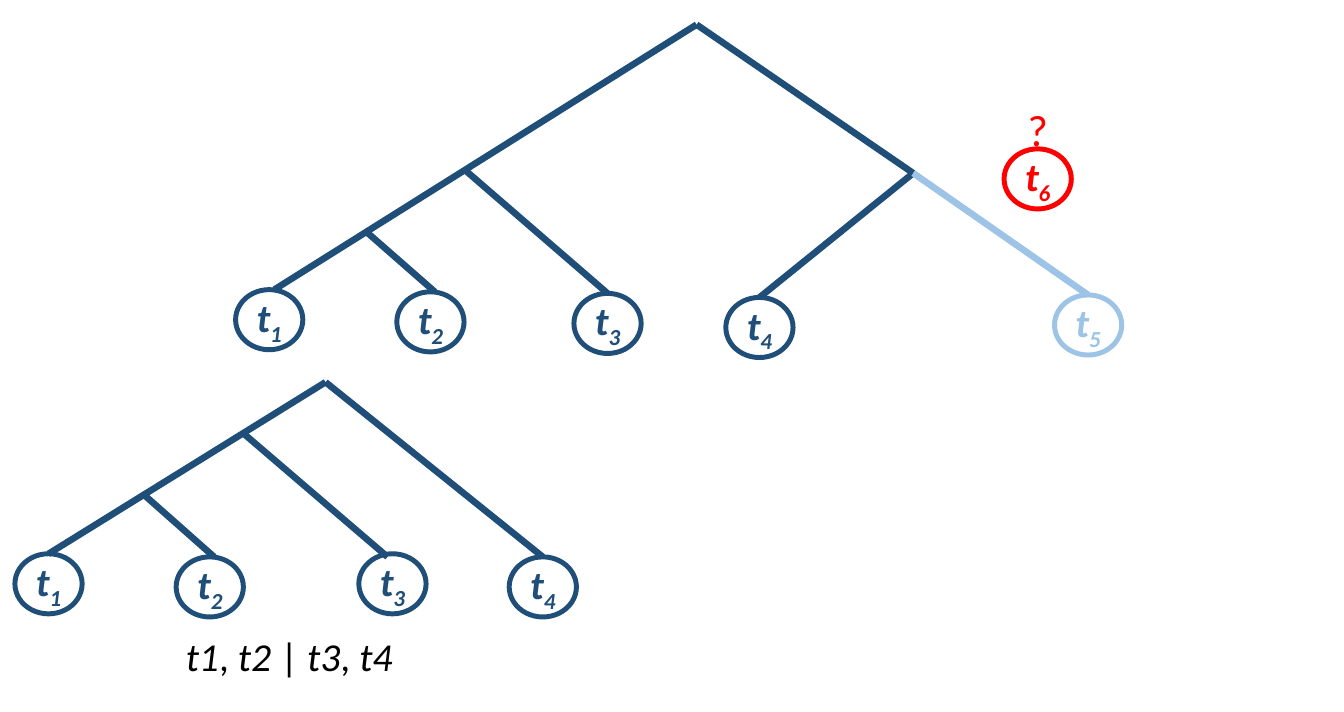
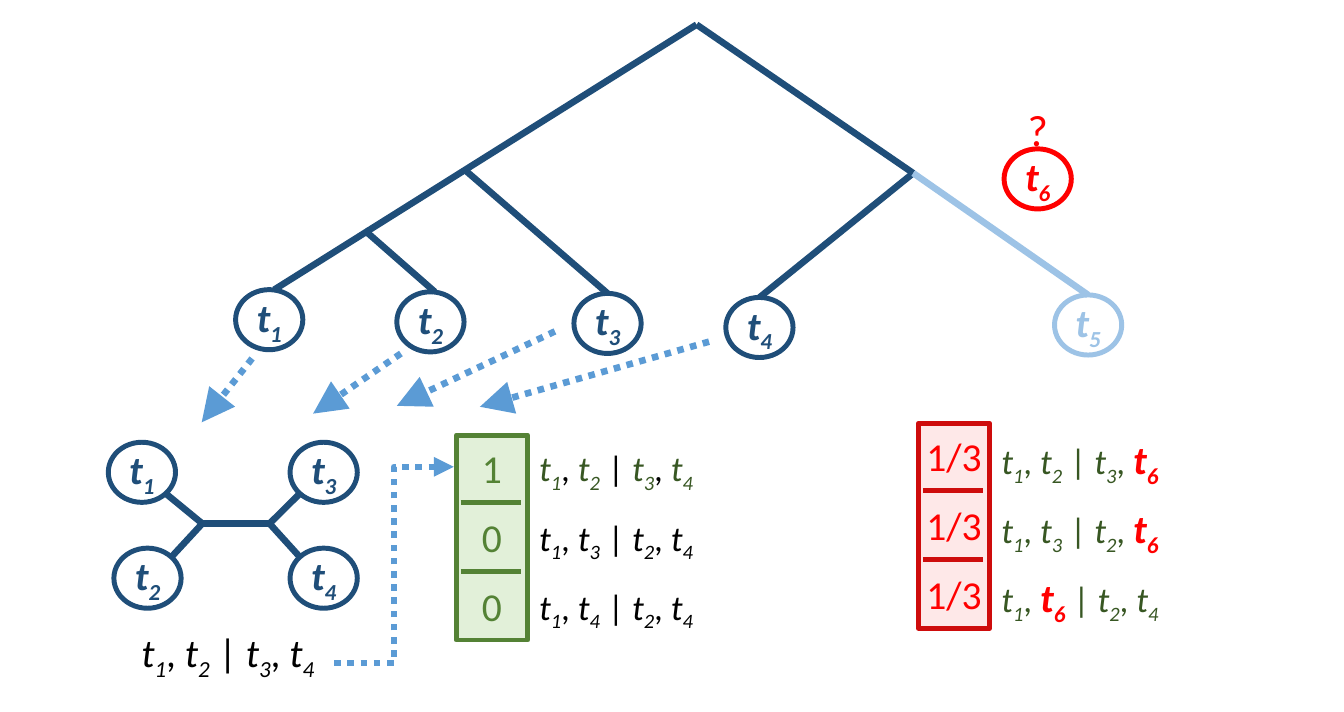
"""Build two slides that place a new taxon on a tree by comparing quartets."""
from itertools import groupby

from lxml.etree import SubElement
from pptx import Presentation
from pptx.dml.color import RGBColor
from pptx.enum.dml import MSO_LINE
from pptx.enum.shapes import MSO_CONNECTOR, MSO_SHAPE
from pptx.enum.text import MSO_ANCHOR, MSO_AUTO_SIZE, PP_ALIGN
from pptx.oxml.ns import qn
from pptx.util import Cm, Pt

COLORS = {
    "tree": "1F4E79",
    "faded": "9DC3E6",
    "query": "FF0000",
    "arrow": "5B9BD5",
    "text": "000000",
    "taxon": "385723",
    "known": "548235",
    "known_fill": "E2F0D9",
    "unknown": "CE0C0C",
    "unknown_fill": "FEE8E8",
}
FONT = "Calibri"


def draw_line(slide, start, end, color, width=6, kind=MSO_CONNECTOR.STRAIGHT, head=None):
    """Draw a connector; a head size makes it a dotted arrow."""
    connector = slide.shapes.add_connector(kind, *map(Cm, (*start, *end)))
    connector.line.color.rgb = RGBColor.from_string(COLORS[color])
    connector.line.width = Pt(width)
    properties = connector._element.spPr
    if head:
        connector.line.dash_style = MSO_LINE.ROUND_DOT
        outline = properties.find(qn("a:ln"))
        SubElement(outline, qn("a:tailEnd"), type="triangle", w=head, len=head)
    SubElement(properties, qn("a:effectLst"))
    return connector


def write(shape, text, size, taxon, mark=None, bold=False, subscript=True, align=PP_ALIGN.LEFT):
    """Write taxa in italics with lowered numbers, the query taxon in bold."""
    paragraph = shape.text_frame.paragraphs[0]
    paragraph.alignment = align
    has_taxa = "t" in text
    pieces = ["".join(group) for _, group in
              groupby(text, lambda sign: has_taxa and (sign == "t", sign.isdigit()))]
    for position, piece in enumerate(pieces):
        in_taxon = has_taxa and (piece == "t" or piece.isdigit())
        is_query = has_taxa and "6" in pieces[position:position + 2]
        run = paragraph.add_run()
        run.text = piece
        run.font.name = FONT
        run.font.size = Pt(36 if is_query else size)
        run.font.bold = bold or is_query
        run.font.italic = in_taxon
        color = "query" if is_query else taxon if in_taxon else mark or taxon
        run.font.color.rgb = RGBColor.from_string(COLORS[color])
        if subscript and in_taxon and piece.isdigit():
            run._r.get_or_add_rPr().set("baseline", "-25000")


presentation = Presentation()
presentation.slide_width = Cm(43.18)
presentation.slide_height = Cm(22.86)
rooted, quartets = [
    presentation.slides.add_slide(presentation.slide_layouts[6]) for _ in range(2)
]

root, right_fork = (22.38, 0.79), (29.34, 5.56)
main_tips = [
    ("t1", 7.57, 9.3, "tree"),
    ("t2", 12.75, 9.37, "tree"),
    ("t3", 18.44, 9.42, "tree"),
    ("t4", 23.32, 9.55, "tree"),
    ("t5", 33.88, 9.47, "faded"),
    ("t6", 32.26, 4.78, "query"),
]
main_branches = [
    (root, (8.81, 9.3), "tree"),
    (root, right_fork, "tree"),
    ((11.71, 7.39), (13.97, 9.37), "tree"),
    ((14.94, 5.46), "t3", "tree"),
    (right_fork, "t4", "tree"),
    (right_fork, "t5", "faded"),
]

small_root = (10.46, 12.27)
rooted_tips = [
    ("t1", 0.48, 17.78, "tree"),
    ("t2", 5.66, 17.88, "tree"),
    ("t3", 11.53, 17.78, "tree"),
    ("t4", 16.36, 17.88, "tree"),
]
rooted_branches = [
    ((4.62, 15.88), (6.88, 17.88), "tree"),
    ((7.85, 13.94), (12.45, 17.88), "tree"),
    (small_root, "t1", "tree"),
    (small_root, "t4", "tree"),
]

left_hub, right_hub = (6.5, 16.81), (8.66, 16.81)
quartet_tips = [
    ("t1", 3.48, 14.2, "tree"),
    ("t2", 3.66, 17.6, "tree"),
    ("t3", 9.32, 14.2, "tree"),
    ("t4", 9.32, 17.6, "tree"),
]
quartet_branches = [
    (left_hub, right_hub, "tree"),
    (left_hub, (5.33, 15.85), "tree"),
    (left_hub, (5.51, 17.88), "tree"),
    (right_hub, (9.63, 15.85), "tree"),
    (right_hub, (9.63, 17.88), "tree"),
]

trees = [
    (rooted, main_tips, main_branches),
    (rooted, rooted_tips, rooted_branches),
    (quartets, main_tips, main_branches),
    (quartets, quartet_tips, quartet_branches),
]
for slide, tips, branches in trees:
    circles = {}
    for name, left, top, color in tips:
        circle = slide.shapes.add_shape(
            MSO_SHAPE.OVAL, Cm(left), Cm(top), Cm(2.16), Cm(1.93))
        circle.shadow.inherit = False
        circle.fill.background()
        circle.line.color.rgb = RGBColor.from_string(COLORS[color])
        circle.line.width = Pt(4.5)
        circle.text_frame.vertical_anchor = MSO_ANCHOR.MIDDLE
        write(circle, name, 36, color, bold=True, align=PP_ALIGN.CENTER)
        circles[name] = circle
    for start, end, color in branches:
        if end in circles:
            draw_line(slide, start, start, color).end_connect(circles[end], 0)
        else:
            draw_line(slide, start, end, color)

arrows = [
    ((8.1, 11.51), (6.48, 13.56)),
    ((12.88, 11.35), (10.06, 13.28)),
    ((17.83, 10.64), (12.75, 13.03)),
    ((22.78, 10.97), (15.42, 13.06)),
]
for start, end in arrows:
    draw_line(quartets, start, end, "arrow", head="lg")

center = {"align": PP_ALIGN.CENTER}
captions = [
    (rooted, "?", 32.77, 3.18, 1.17, 40, "query", "query", {}),
    (quartets, "?", 32.77, 3.18, 1.17, 40, "query", "query", {}),
    (rooted, "t1, t2 | t3, t4", 5.72, 20.17, 7.21, 36, "text", "text", {"subscript": False}),
    (quartets, "t1, t2 | t3, t4", 4.29, 20.04, 6.35, 36, "text", "text", {}),
]

columns = [
    (14.66, 13.97, "known", "known", [
        ("1", "t1, t2 | t3, t4", "taxon", "text"),
        ("0", "t1, t3 | t2, t4", "text", "text"),
        ("0", "t1, t4 | t2, t4", "text", "text"),
    ]),
    (29.51, 13.59, "unknown", "query", [
        ("1/3", "t1, t2 | t3, t6", "taxon", "taxon"),
        ("1/3", "t1, t3 | t2, t6", "taxon", "taxon"),
        ("1/3", "t1, t6 | t2, t4", "taxon", "taxon"),
    ]),
]
column_width, row_pitch = 2.29, 2.22
for left, top, edge, value_color, rows in columns:
    column = quartets.shapes.add_shape(
        MSO_SHAPE.RECTANGLE, Cm(left), Cm(top), Cm(column_width), Cm(6.58))
    column.shadow.inherit = False
    column.fill.solid()
    column.fill.fore_color.rgb = RGBColor.from_string(COLORS[edge + "_fill"])
    column.line.color.rgb = RGBColor.from_string(COLORS[edge])
    column.line.width = Pt(4.5)
    for row, (value, quartet, taxon, mark) in enumerate(rows):
        offset = top + row * row_pitch
        if row:
            divider = offset - 0.06
            draw_line(quartets, (left + 0.14, divider), (left + 2.07, divider), edge, 4.5)
        captions += [
            (quartets, value, left, offset + 0.15, column_width, 36,
             value_color, value_color, center),
            (quartets, quartet, left + 2.41, offset + 0.25, 5.72, 32, taxon, mark, {}),
        ]

draw_line(quartets, (10.74, 21.29), (14.58, 14.99), "arrow",
          kind=MSO_CONNECTOR.ELBOW, head="med")

for slide, text, left, top, width, size, taxon, mark, options in captions:
    caption = slide.shapes.add_textbox(Cm(left), Cm(top), Cm(width), Cm(size / 20))
    caption.text_frame.word_wrap = False
    caption.text_frame.auto_size = MSO_AUTO_SIZE.SHAPE_TO_FIT_TEXT
    write(caption, text, size, taxon, mark, **options)

presentation.save("out.pptx")
